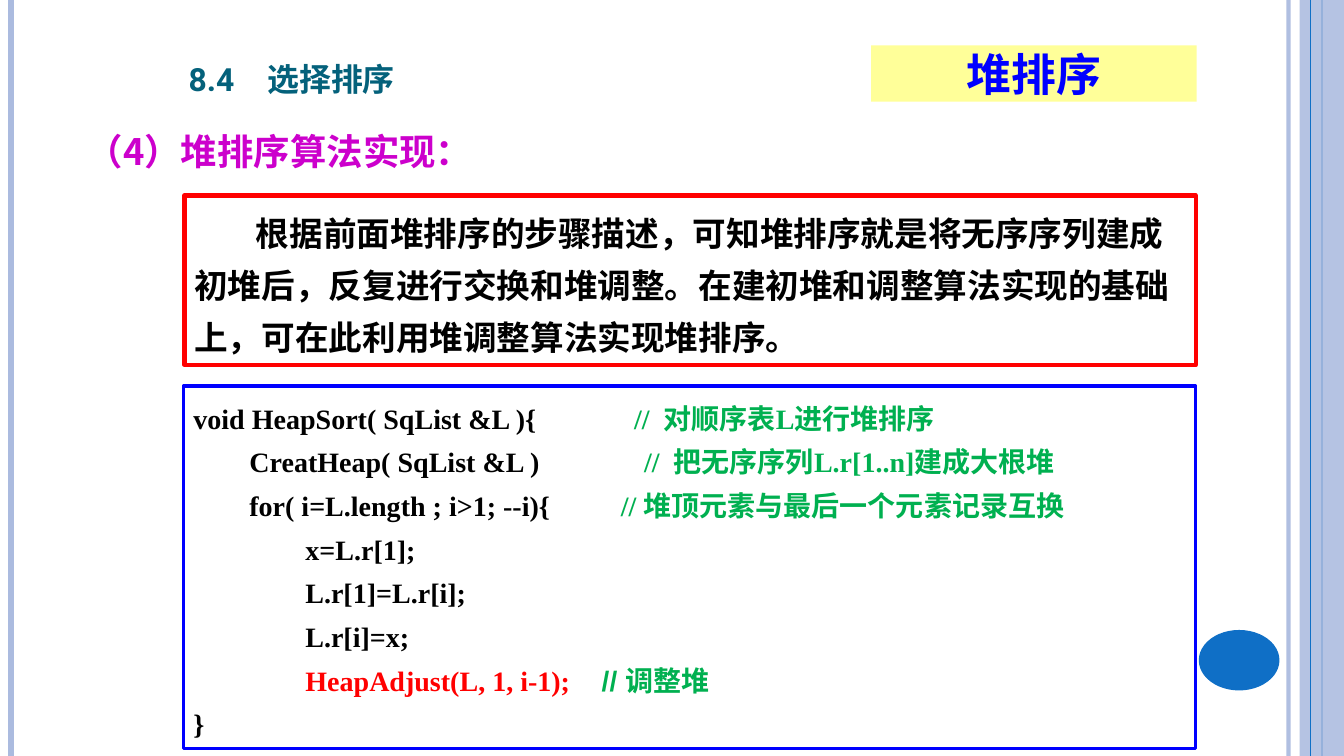
from dataclasses import dataclass
from typing import Optional

from lxml.etree import SubElement
from pptx import Presentation
from pptx.dml.color import RGBColor
from pptx.enum.shapes import MSO_CONNECTOR, MSO_SHAPE
from pptx.enum.text import MSO_ANCHOR, MSO_AUTO_SIZE, PP_ALIGN
from pptx.oxml.ns import qn
from pptx.util import Inches, Pt

WHITE = RGBColor(0xFF, 0xFF, 0xFF)
BLACK = RGBColor(0, 0, 0)
LAVENDER = RGBColor(0xAB, 0xBB, 0xDF)
THEME_BLUE = RGBColor(0x0F, 0x6F, 0xC6)
TEAL = RGBColor(0x04, 0x61, 0x7B)
YELLOW = RGBColor(0xFF, 0xFF, 0x99)
BLUE = RGBColor(0, 0, 0xFF)
MAGENTA = RGBColor(0xCC, 0, 0xCC)
RED = RGBColor(0xFF, 0, 0)
GREEN = RGBColor(0, 0xB0, 0x50)

CJK = "Noto Sans CJK SC"
SERIF = "Times New Roman"
SLIDE_H = 7.5


@dataclass
class Rule:
    x: float
    color: RGBColor
    width: float
    opacity: int = 100


@dataclass
class Box:
    left: float
    top: float
    width: float
    height: float
    fill: Optional[RGBColor] = None
    line: Optional[RGBColor] = None
    line_width: float = 0
    opacity: int = 100
    preset: MSO_SHAPE = MSO_SHAPE.RECTANGLE


@dataclass
class CodeLine:
    code: str
    comment: str = ""
    comment_at: float = 0
    color: RGBColor = BLACK
    comment_font: str = SERIF


RULES = [
    Rule(12.78, LAVENDER, 3, 93),
    Rule(0.11, LAVENDER, 4.5),
    Rule(13.11, THEME_BLUE, 1.5),
]
INNER_RULE = Rule(13, THEME_BLUE, 0.75)
SIDE_BAND = Box(12.89, 0, 0.44, SLIDE_H, fill=LAVENDER, opacity=87)
PAGE_OVAL = Box(11.89, 6.25, 0.8, 0.6, fill=THEME_BLUE, preset=MSO_SHAPE.OVAL)
TOPIC_BOX = Box(8.64, 0.45, 3.23, 0.56, fill=YELLOW)
SUMMARY_BOX = Box(1.83, 1.94, 10.03, 1.68, line=RED, line_width=3)
CODE_BOX = Box(1.82, 3.83, 10.04, 3.6, line=BLUE, line_width=2.25)

SUMMARY = ("根据前面堆排序的步骤描述，可知堆排序就是将无序序列建成初堆后，反复进行交换和堆调整。"
           "在建初堆和调整算法实现的基础上，可在此利用堆调整算法实现堆排序。")
CODE = [
    CodeLine("void HeapSort( SqList &L ){", "//  对顺序表L进行堆排序", 4.37),
    CodeLine("        CreatHeap( SqList &L )", "//  把无序序列L.r[1..n]建成大根堆", 4.47),
    CodeLine("        for( i=L.length ; i>1; --i){", "// 堆顶元素与最后一个元素记录互换", 4.24),
    CodeLine("                x=L.r[1];"),
    CodeLine("                L.r[1]=L.r[i];"),
    CodeLine("                L.r[i]=x;"),
    CodeLine("                HeapAdjust(L, 1, i-1);", "// 调整堆", 4.05, RED, "Arial"),
    CodeLine("}"),
]


def set_opacity(element, percent: int) -> None:
    if percent < 100:
        for clr in element.iter(qn("a:srgbClr")):
            SubElement(clr, qn("a:alpha"), val=str(percent * 1000))


def add_rule(slide, rule: Rule) -> None:
    x = Inches(rule.x)
    line = slide.shapes.add_connector(MSO_CONNECTOR.STRAIGHT, x, 0, x, Inches(SLIDE_H))
    line.line.color.rgb = rule.color
    line.line.width = Pt(rule.width)
    set_opacity(line._element.spPr, rule.opacity)
    SubElement(line._element.spPr, qn("a:effectLst"))


def add_box(slide, box: Box):
    sp = slide.shapes.add_shape(box.preset, Inches(box.left), Inches(box.top),
                                Inches(box.width), Inches(box.height))
    sp.shadow.inherit = False
    if box.fill is None:
        sp.fill.background()
    else:
        sp.fill.solid()
        sp.fill.fore_color.rgb = box.fill
    if box.line is None:
        sp.line.fill.background()
    else:
        sp.line.color.rgb = box.line
        sp.line.width = Pt(box.line_width)
    set_opacity(sp._element.spPr, box.opacity)
    sp.text_frame.word_wrap = True
    sp.text_frame.vertical_anchor = MSO_ANCHOR.TOP
    return sp


def add_tab(p, position: float) -> None:
    tabs = SubElement(p._p.get_or_add_pPr(), qn("a:tabLst"))
    SubElement(tabs, qn("a:tab"), pos=str(Inches(position)), algn="l")


def style(p, size: float, color: RGBColor, name: str = CJK, align=PP_ALIGN.LEFT):
    """Format a whole paragraph in bold and return its default run properties."""
    p.alignment = align
    font = p.font
    font.size, font.bold, font.name = Pt(size), True, name
    font.color.rgb = color
    props = p._p.pPr.find(qn("a:defRPr"))
    SubElement(props, qn("a:ea"), typeface=CJK)
    return props


def add_title(slide) -> None:
    title = slide.shapes.title
    title.left, title.top = Inches(1.77), Inches(0.43)
    title.width, title.height = Inches(4.46), Inches(0.61)
    tf = title.text_frame
    tf.auto_size = MSO_AUTO_SIZE.NONE
    tf.vertical_anchor = MSO_ANCHOR.BOTTOM
    p = tf.paragraphs[0]
    add_tab(p, 0.78)
    p.add_run().text = "8.4\t选择排序"
    style(p, 28.5, TEAL, "Roboto").set("cap", "small")


def add_heading(slide) -> None:
    sp = slide.shapes.add_textbox(Inches(0.76), Inches(1.23), Inches(5.28), Inches(0.54))
    sp.text_frame.word_wrap = True
    p = sp.text_frame.paragraphs[0]
    p.text = "（4）堆排序算法实现："
    style(p, 26, MAGENTA)


def add_topic(slide) -> None:
    tf = add_box(slide, TOPIC_BOX).text_frame
    tf.vertical_anchor = MSO_ANCHOR.MIDDLE
    p = tf.paragraphs[0]
    p.text = "堆排序"
    style(p, 32, BLUE, align=PP_ALIGN.CENTER)


def add_summary(slide) -> None:
    p = add_box(slide, SUMMARY_BOX).text_frame.paragraphs[0]
    p.text = SUMMARY
    p.line_spacing = 1.3
    p._p.get_or_add_pPr().set("indent", str(Inches(0.61)))
    style(p, 24, BLACK)


def add_code(slide) -> None:
    tf = add_box(slide, CODE_BOX).text_frame
    for i, line in enumerate(CODE):
        p = tf.paragraphs[0] if i == 0 else tf.add_paragraph()
        p.line_spacing = 1.3
        if line.comment:
            add_tab(p, line.comment_at)
        style(p, 20, line.color, SERIF)
        p.add_run().text = line.code
        if line.comment:
            r = p.add_run()
            r.text = "\t" + line.comment
            r.font.color.rgb = GREEN
            r.font.name = line.comment_font


def main() -> None:
    prs = Presentation()
    prs.slide_width, prs.slide_height = Inches(13.33), Inches(SLIDE_H)
    slide = prs.slides.add_slide(prs.slide_layouts[5])
    slide.background.fill.solid()
    slide.background.fill.fore_color.rgb = WHITE
    for rule in RULES:
        add_rule(slide, rule)
    add_box(slide, SIDE_BAND)
    add_rule(slide, INNER_RULE)
    add_box(slide, PAGE_OVAL)
    add_title(slide)
    add_topic(slide)
    add_heading(slide)
    add_summary(slide)
    add_code(slide)
    prs.save("out.pptx")


if __name__ == "__main__":
    main()
